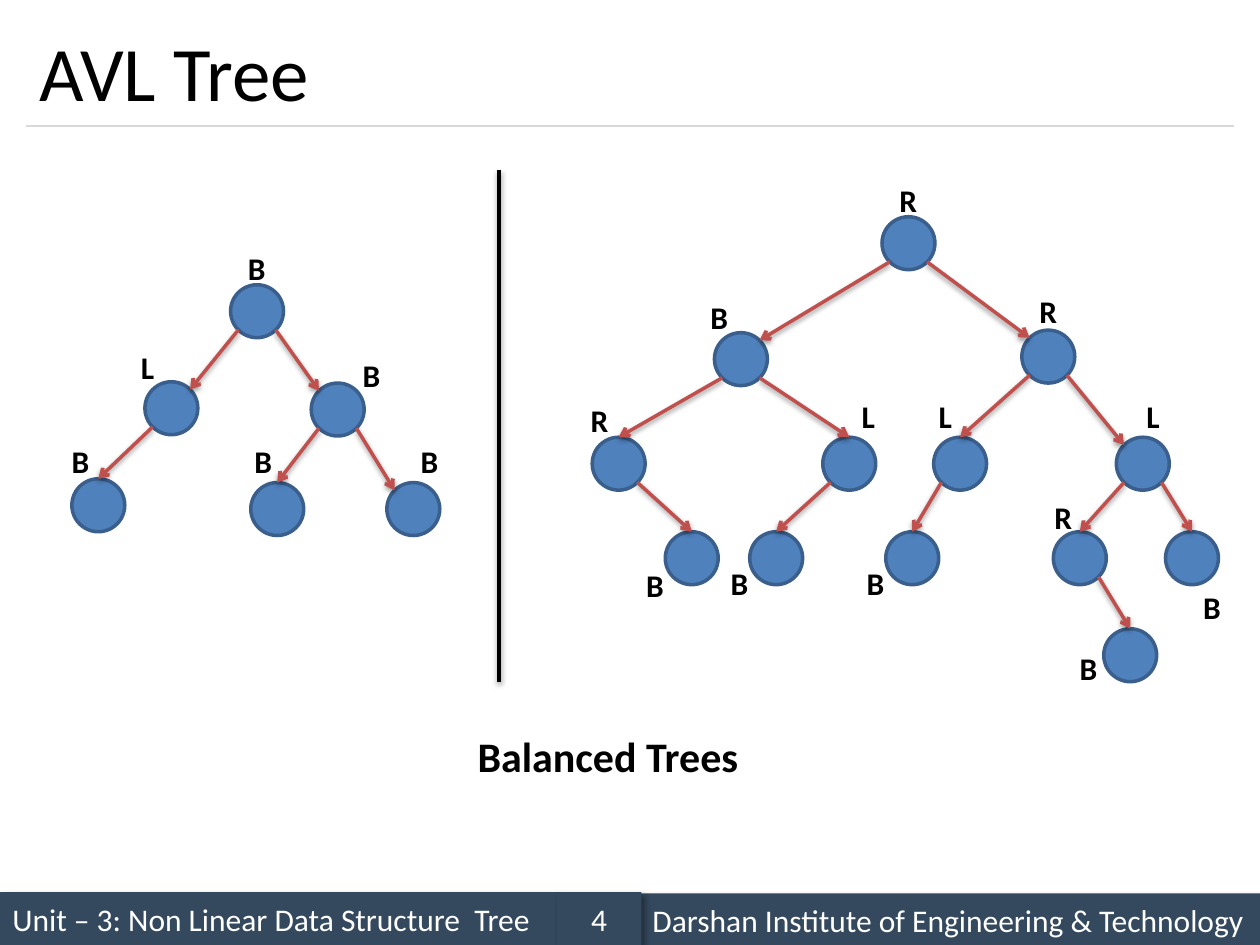
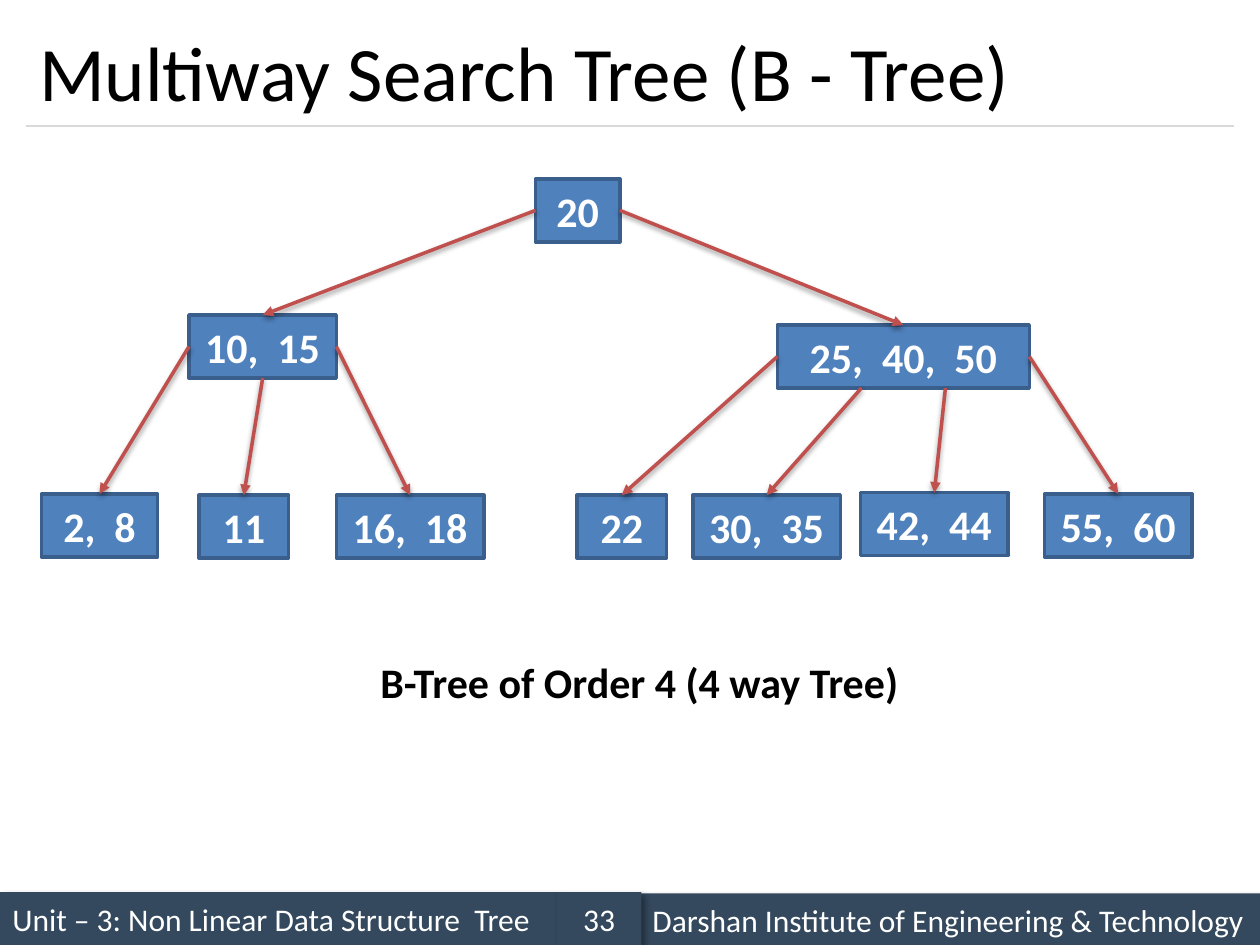
from dataclasses import dataclass
from math import sqrt
from typing import Optional

from pptx import Presentation
from pptx import util as u
from pptx.dml.color import RGBColor
from pptx.enum import shapes, text
from pptx.oxml import ns
from lxml import etree

Inches = u.Inches
ALIGN = text.PP_ALIGN
TOP, LEFT, BOTTOM, RIGHT = range(4)


@dataclass(frozen=True)
class Shadow:
    alpha: int
    blur: float
    dist: float
    angle: int


@dataclass(frozen=True)
class Theme:
    font: str = "Calibri"
    ink: str = "000000"
    paper: str = "FFFFFF"
    band: str = "34495E"
    rule: str = "D9D9D9"
    node: str = "4F81BD"
    node_edge: str = "3A5F8C"
    arrow: str = "C0504D"
    title_size: int = 44
    key_size: int = 24
    small_size: int = 18
    line_width: float = 2
    band_shadow: Shadow = Shadow(40, 4, 3, 45)
    line_shadow: Shadow = Shadow(38, 3.1, 1.6, 90)


T = Theme()
CIRCLE = 0.42
BOX_HEIGHT = 0.5


@dataclass(frozen=True)
class Node:
    """A circle with a balance label; `corner` tells an arrow to end on its upper shoulder."""
    x: float
    y: float
    label: str
    label_x: float
    label_y: float
    corner: bool = False
    children: tuple["Node", ...] = ()


@dataclass(frozen=True)
class KeyBox:
    keys: str
    x: float
    y: float
    w: float
    children: tuple["KeyBox", ...] = ()


@dataclass(frozen=True)
class Band:
    text: str
    x: float
    y: float
    w: float
    align: ALIGN = ALIGN.LEFT


SMALL_TREE = Node(1.83, 2.26, "B", 1.87, 1.93, children=(
    Node(1.15, 3.03, "L", 1.02, 2.71, True, (
        Node(0.57, 3.8, "B", 0.47, 3.46),)),
    Node(2.47, 3.04, "B", 2.78, 2.78, True, (
        Node(1.99, 3.83, "B", 1.92, 3.46),
        Node(3.07, 3.83, "B", 3.24, 3.46, True))),
))

LARGE_TREE = Node(7, 1.72, "R", 7.04, 1.39, children=(
    Node(5.67, 2.64, "B", 5.54, 2.32, True, (
        Node(4.7, 3.47, "R", 4.59, 3.13, children=(
            Node(5.28, 4.22, "B", 5.03, 4.44),)),
        Node(6.53, 3.47, "L", 6.74, 3.1, children=(
            Node(5.95, 4.22, "B", 5.7, 4.43),)))),
    Node(8.11, 2.62, "R", 8.15, 2.27, True, (
        Node(7.41, 3.47, "L", 7.35, 3.1, children=(
            Node(7.03, 4.22, "B", 6.78, 4.43),)),
        Node(8.86, 3.47, "L", 9, 3.1, True, (
            Node(8.36, 4.22, "R", 8.27, 3.9, children=(
                Node(8.76, 4.99, "B", 8.47, 5.1),)),
            Node(9.25, 4.22, "B", 9.45, 4.62))))),
))

B_TREE = KeyBox("20", 4.25, 1.42, 0.67, (
    KeyBox("10,  15", 1.5, 2.5, 1.17, (
        KeyBox("2,  8", 0.33, 3.92, 0.92),
        KeyBox("11", 1.58, 3.93, 0.71),
        KeyBox("16,  18", 2.67, 3.93, 1.17))),
    KeyBox("25,  40,  50", 6.17, 2.58, 2, (
        KeyBox("22", 4.58, 3.93, 0.71),
        KeyBox("30,  35", 5.5, 3.93, 1.17),
        KeyBox("42,  44", 6.83, 3.91, 1.17),
        KeyBox("55,  60", 8.29, 3.92, 1.17))),
))


def rgb(color: str) -> RGBColor:
    return RGBColor.from_string(color)


def write(tf, content: str, *, size: int, color: str = T.ink, bold: bool = False,
          align=ALIGN.LEFT, anchor=text.MSO_ANCHOR.TOP, wrap: bool = True) -> None:
    tf.word_wrap = wrap
    tf.auto_size = text.MSO_AUTO_SIZE.NONE
    tf.vertical_anchor = anchor
    p = tf.paragraphs[0]
    p.alignment = align
    r = p.add_run()
    r.text = content
    r.font.name, r.font.size, r.font.bold = T.font, u.Pt(size), bold
    r.font.color.rgb = rgb(color)


def add_effects(sp, shadow: Optional[Shadow]) -> None:
    """Give the shape its own effect list, empty when there is no shadow."""
    effects = etree.SubElement(sp._element.spPr, ns.qn("a:effectLst"))
    if shadow:
        outer = etree.SubElement(
            effects, ns.qn("a:outerShdw"), blurRad=str(int(u.Pt(shadow.blur))),
            dist=str(int(u.Pt(shadow.dist))), dir=str(shadow.angle * 60000),
            algn="tl", rotWithShape="0")
        clr = etree.SubElement(outer, ns.qn("a:srgbClr"), val=T.ink)
        etree.SubElement(clr, ns.qn("a:alpha"), val=str(shadow.alpha * 1000))


def add_block(s, kind, x: float, y: float, w: float, h: float, *, fill: str,
              edge: Optional[str] = None, shadow: Optional[Shadow] = None):
    sp = s.shapes.add_shape(kind, Inches(x), Inches(y), Inches(w), Inches(h))
    sp.fill.solid()
    sp.fill.fore_color.rgb = rgb(fill)
    if edge:
        sp.line.color.rgb = rgb(edge)
        sp.line.width = u.Pt(T.line_width)
    else:
        sp.line.fill.background()
    add_effects(sp, shadow)
    return sp


def add_line(s, start: tuple[float, float], end: tuple[float, float], *, color: str,
             width: float = T.line_width, head: Optional[str] = None,
             shadow: Optional[Shadow] = T.line_shadow):
    c = s.shapes.add_connector(shapes.MSO_CONNECTOR.STRAIGHT,
                               *(Inches(v) for v in (*start, *end)))
    c.line.color.rgb = rgb(color)
    c.line.width = u.Pt(width)
    if head:
        ln = c._element.spPr.find(ns.qn("a:ln"))
        etree.SubElement(ln, ns.qn("a:tailEnd"), type=head)
    add_effects(c, shadow)
    return c


def add_text(s, content: str, x: float, y: float, w: float, h: float, **fmt) -> None:
    box = s.shapes.add_textbox(Inches(x), Inches(y), Inches(w), Inches(h))
    write(box.text_frame, content, bold=True, **fmt)


def shoulder(node: Node, side: int, drop: int) -> tuple[float, float]:
    """Point on the circle's diagonal: side -1 left or 1 right, drop -1 up or 1 down."""
    radius = CIRCLE / 2
    reach = radius / sqrt(2)
    return node.x + radius + side * reach, node.y + radius + drop * reach


def draw_circles(s, node: Node) -> None:
    add_block(s, shapes.MSO_SHAPE.OVAL, node.x, node.y, CIRCLE, CIRCLE,
              fill=T.node, edge=T.node_edge)
    add_text(s, node.label, node.label_x, node.label_y,
             0.31 if node.label == "L" else 0.34, 0.4, size=T.small_size, wrap=False)
    for child in node.children:
        draw_circles(s, child)
        side = -1 if child.x < node.x else 1
        end = shoulder(child, -side, -1) if child.corner else (child.x + CIRCLE / 2, child.y)
        add_line(s, shoulder(node, side, 1), end, color=T.arrow, head="arrow")


def draw_boxes(s, box: KeyBox):
    """Arrows leave from the left side, evenly along the bottom, then the right side."""
    sp = add_block(s, shapes.MSO_SHAPE.RECTANGLE, box.x, box.y, box.w, BOX_HEIGHT,
                   fill=T.node, edge=T.node_edge)
    write(sp.text_frame, box.keys, size=T.key_size, color=T.paper, bold=True,
          align=ALIGN.CENTER, anchor=text.MSO_ANCHOR.MIDDLE)
    last = len(box.children) - 1
    for i, child in enumerate(box.children):
        child_sp = draw_boxes(s, child)
        start = box.x + box.w * i / last, box.y + BOX_HEIGHT
        c = add_line(s, start, (child.x + child.w / 2, child.y),
                     color=T.arrow, head="triangle")
        site = {0: LEFT, last / 2: BOTTOM, last: RIGHT}.get(i)
        if site is not None:
            c.begin_connect(sp, site)
        c.end_connect(child_sp, TOP)
    return sp


def add_slide(prs, title: str, number: int):
    s = prs.slides.add_slide(prs.slide_layouts[5])
    bands = (
        Band("Unit – 3: Non Linear Data Structure  Tree", 0, 7.08, 4.42),
        Band("Darshan Institute of Engineering & Technology", 5.08, 7.09, 4.92),
        Band(str(number), 4.42, 7.08, 0.67, ALIGN.CENTER),
    )
    for band in bands:
        sp = add_block(s, shapes.MSO_SHAPE.RECTANGLE, band.x, band.y, band.w, 0.42,
                       fill=T.band, shadow=T.band_shadow)
        write(sp.text_frame, band.text, size=T.small_size, color=T.paper,
              align=band.align, anchor=text.MSO_ANCHOR.MIDDLE)
    add_line(s, (0.21, 1), (9.79, 1), color=T.rule, width=0.75, shadow=None)
    ph = s.shapes.title
    ph.left, ph.top, ph.width, ph.height = (Inches(v) for v in (0.21, 0.12, 9.58, 0.88))
    write(ph.text_frame, title, size=T.title_size, anchor=text.MSO_ANCHOR.MIDDLE)
    return s


def main() -> None:
    prs = Presentation()
    prs.slide_width, prs.slide_height = Inches(10), Inches(7.5)

    s = add_slide(prs, "AVL Tree", 4)
    draw_circles(s, SMALL_TREE)
    draw_circles(s, LARGE_TREE)
    add_text(s, "Balanced Trees", 3.67, 5.75, 2.31, 0.5, size=T.key_size,
             align=ALIGN.CENTER)
    add_line(s, (3.96, 1.35), (3.96, 5.41), color=T.ink)

    s = add_slide(prs, "Multiway Search Tree (B - Tree)", 33)
    draw_boxes(s, B_TREE)
    add_text(s, "B-Tree of Order 4 (4 way Tree)", 2.92, 5.16, 4.37, 0.5,
             size=T.key_size, wrap=False)

    prs.save("out.pptx")


if __name__ == "__main__":
    main()
